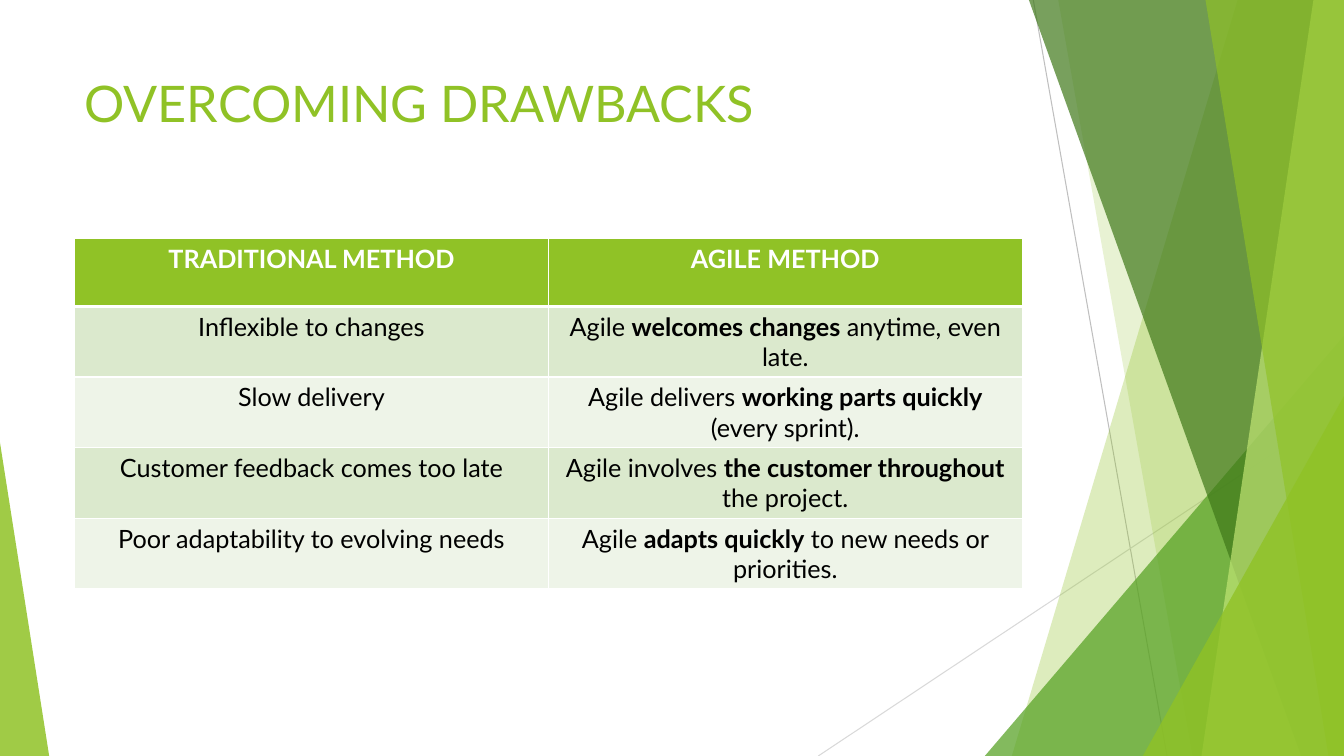
from lxml import etree
from pptx import Presentation
from pptx.dml.color import RGBColor
from pptx.enum.shapes import MSO_CONNECTOR, MSO_SHAPE
from pptx.enum.text import MSO_ANCHOR, PP_ALIGN
from pptx.oxml.ns import qn
from pptx.util import Cm, Pt

LINE = MSO_CONNECTOR.STRAIGHT
TRI = MSO_SHAPE.ISOSCELES_TRIANGLE
TOP = MSO_ANCHOR.TOP
LEFT, MID = PP_ALIGN.LEFT, PP_ALIGN.CENTER

WIDE, HIGH = 33.87, 19.05
FONT = "Lato"
LIME, WHITE, BLACK = "90C226", "FFFFFF", "000000"
BANDS = ["DBE9CD", "EEF4E8"]

HEADS = ["TRADITIONAL METHOD", "AGILE METHOD"]
# Drawback, then the lead, bold and closing parts of the answer
ROWS = [
    ("Inflexible to changes",
     ("Agile ", "welcomes changes", " anytime, even late.")),
    ("Slow delivery",
     ("Agile delivers ", "working parts quickly", " (every sprint).")),
    ("Customer feedback comes too late",
     ("Agile involves ", "the customer throughout", " the project.")),
    ("Poor adaptability to evolving needs",
     ("Agile ", "adapts quickly", " to new needs or priorities.")),
]


def color(code):
    return RGBColor.from_string(code)


def paint(shape, code, alpha):
    """Give a flat fill with an opacity in percent, and no outline."""
    shape.shadow.inherit = False
    shape.line.fill.background()
    shape.fill.solid()
    shape.fill.fore_color.rgb = color(code)
    tone = shape.fill._xPr.find(qn("a:solidFill"))[0]
    etree.SubElement(tone, qn("a:alpha"), val=str(alpha * 1000))


def add_line(slide, start, end, code):
    line = slide.shapes.add_connector(LINE, *map(Cm, start + end))
    line.line.color.rgb = color(code)
    line.line.width = Pt(0.75)
    etree.SubElement(line._element.spPr, qn("a:effectLst"))


def add_shard(slide, top, foot, code, alpha):
    """Fill from a slanted left edge to the right side of the slide."""
    pen = slide.shapes.build_freeform(Cm(top), Cm(0))
    pen.add_line_segments([(Cm(WIDE), Cm(0)), (Cm(WIDE), Cm(HIGH)),
                           (Cm(foot), Cm(HIGH))], close=True)
    paint(pen.convert_to_shape(), code, alpha)


def add_tri(slide, left, top, width, tip, code, alpha):
    """Stand a triangle on the bottom edge of the slide."""
    shape = slide.shapes.add_shape(TRI, Cm(left), Cm(top), Cm(width),
                                   Cm(HIGH - top))
    shape.adjustments[0] = tip
    paint(shape, code, alpha)


def add_run(para, text, size, code, bold=False):
    run = para.add_run()
    run.text = text
    run.font.name = FONT
    run.font.size = Pt(size)
    run.font.bold = bold
    run.font.color.rgb = color(code)


def add_title(slide, text):
    box = slide.shapes.add_textbox(Cm(1.88), Cm(1.7), Cm(23.88), Cm(3.66))
    frame = box.text_frame
    frame.word_wrap = True
    frame.vertical_anchor = TOP
    para = frame.paragraphs[0]
    para.alignment = LEFT
    add_run(para, text, 36, LIME)


def add_edge(cell, side, width):
    props = cell._tc.get_or_add_tcPr()
    edge = etree.SubElement(props, qn("a:" + side), w=str(Pt(width)))
    fill = etree.SubElement(edge, qn("a:solidFill"))
    etree.SubElement(fill, qn("a:srgbClr"), val=WHITE)


def fill_cell(cell, parts, code, back, bold, top, base):
    """Write the parts as runs; bold lists the bold flag of each."""
    for side, width in (("lnL", 1), ("lnR", 1), ("lnT", top), ("lnB", base)):
        add_edge(cell, side, width)
    cell.fill.solid()
    cell.fill.fore_color.rgb = color(back)
    para = cell.text_frame.paragraphs[0]
    para.alignment = MID
    for text, flag in zip(parts, bold):
        add_run(para, text, 18, code, flag)


def add_grid(slide):
    frame = slide.shapes.add_table(len(ROWS) + 1, 2, Cm(1.88), Cm(6),
                                   Cm(23.88), Cm(8.84))
    table = frame.table
    for row in table.rows:
        row.height = Cm(1.78)
    table.rows[0].height = Cm(1.72)
    for col, head in enumerate(HEADS):
        fill_cell(table.cell(0, col), [head], WHITE, LIME, [True], 1, 3)
    for num, (flaw, reply) in enumerate(ROWS, 1):
        back = BANDS[(num - 1) % 2]
        top = 3 if num == 1 else 1
        for col, parts in enumerate(([flaw], reply)):
            fill_cell(table.cell(num, col), parts, BLACK, back,
                      [False, True, False], top, 1)


def add_decor(slide):
    # Thin lines
    add_line(slide, (26.04, 0), (29.41, HIGH), "BFBFBF")
    add_line(slide, (WIDE, 10.24), (20.62, HIGH), "D9D9D9")
    # Layered green shards, back to front
    add_shard(slide, 31.19, 25.5, LIME, 30)
    add_shard(slide, 26.67, 30.05, LIME, 20)
    add_tri(slide, 24.82, 8.46, 9.05, 1, "54A021", 72)
    add_shard(slide, 25.93, 32.79, "3F7819", 70)
    add_shard(slide, 33.1, 30.28, "C0E474", 70)
    add_shard(slide, 30.38, 33.48, LIME, 65)
    add_tri(slide, 28.8, 9.98, 5.07, 1, LIME, 80)
    # Left corner
    add_tri(slide, 0, 11.15, 1.24, 0, LIME, 85)


def main():
    deck = Presentation()
    deck.slide_width, deck.slide_height = Cm(WIDE), Cm(HIGH)
    slide = deck.slides.add_slide(deck.slide_layouts[6])
    add_decor(slide)
    add_title(slide, "OVERCOMING DRAWBACKS")
    add_grid(slide)
    deck.save("out.pptx")


if __name__ == "__main__":
    main()
